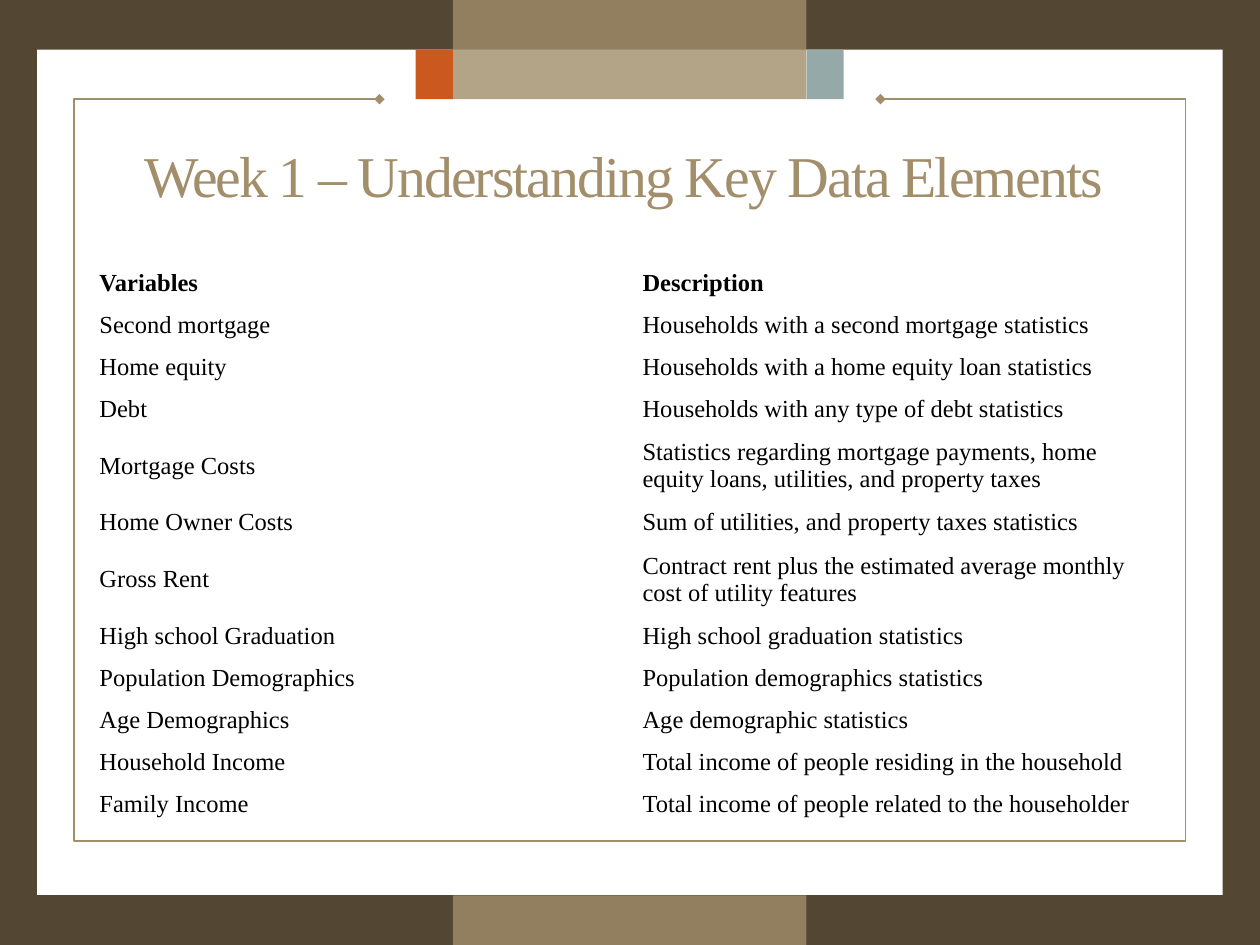
from dataclasses import dataclass

from lxml.etree import SubElement
from pptx import Presentation
from pptx.dml.color import RGBColor
from pptx.enum.shapes import MSO_SHAPE
from pptx.enum.text import MSO_ANCHOR, PP_ALIGN
from pptx.oxml.ns import qn
from pptx.util import Cm, Pt

BROWN = RGBColor(0x53, 0x47, 0x33)
TAN = RGBColor(0xA2, 0x8E, 0x6A)
ORANGE = RGBColor(0xCB, 0x58, 0x1F)
GRAY = RGBColor(0x96, 0xA9, 0xA9)
WHITE = RGBColor(0xFF, 0xFF, 0xFF)
BLACK = RGBColor(0, 0, 0)
FONT = "Times New Roman"


@dataclass
class Panel:
    left: float
    top: float
    width: float
    height: float
    color: RGBColor
    opacity: int = 100


@dataclass
class Variable:
    name: str
    description: str
    lines: int = 1


PAGE = Panel(0.75, 1, 23.9, 17.04, WHITE)
ORNAMENTS = [
    Panel(9.13, 0, 7.13, 2, TAN, 80),
    Panel(8.38, 1, 0.75, 1, ORANGE),
    Panel(16.26, 1, 0.75, 1, GRAY),
    Panel(9.13, 18.05, 7.13, 1, TAN, 80),
]
FRAME = [(17.75, 2), (23.9, 2), (23.9, 16.95), (1.5, 16.95), (1.5, 2), (7.65, 2)]
ROWS = [
    Variable("Variables", "Description"),
    Variable("Second mortgage", "Households with a second mortgage statistics"),
    Variable("Home equity", "Households with a home equity loan statistics"),
    Variable("Debt", "Households with any type of debt statistics"),
    Variable("Mortgage Costs", "Statistics regarding mortgage payments, home equity loans, "
             "utilities, and property taxes", 2),
    Variable("Home Owner Costs", "Sum of utilities, and property taxes statistics"),
    Variable("Gross Rent", "Contract rent plus the estimated average monthly cost of "
             "utility features", 2),
    Variable("High school Graduation", "High school graduation statistics"),
    Variable("Population Demographics", "Population demographics statistics"),
    Variable("Age Demographics", "Age demographic statistics"),
    Variable("Household Income", "Total income of people residing in the household"),
    Variable("Family Income", "Total income of people related to the householder"),
]
ROW_HEIGHTS = {1: 0.8, 2: 1.35}


def add_panel(s, panel: Panel) -> None:
    sp = s.shapes.add_shape(MSO_SHAPE.RECTANGLE, Cm(panel.left), Cm(panel.top),
                            Cm(panel.width), Cm(panel.height))
    sp.shadow.inherit = False
    sp.fill.solid()
    sp.fill.fore_color.rgb = panel.color
    sp.line.fill.background()
    if panel.opacity < 100:
        color = sp.fill._xPr.find(qn("a:solidFill"))[0]
        SubElement(color, qn("a:alpha"), val=str(panel.opacity * 1000))


def add_frame(s, points: list[tuple[float, float]]) -> None:
    start, *rest = [(Cm(x), Cm(y)) for x, y in points]
    builder = s.shapes.build_freeform(*start)
    builder.add_line_segments(rest, close=False)
    sp = builder.convert_to_shape()
    sp.shadow.inherit = False
    sp.fill.background()
    sp.line.color.rgb = TAN
    sp.line.width = Pt(1)
    for end in ("a:headEnd", "a:tailEnd"):
        SubElement(sp.line._get_or_add_ln(), qn(end), type="diamond")


def add_title(s, text: str) -> None:
    tf = s.shapes.add_textbox(Cm(1.75), Cm(2.5), Cm(21.9), Cm(2.2)).text_frame
    tf.word_wrap = True
    tf.vertical_anchor = MSO_ANCHOR.MIDDLE
    p = tf.paragraphs[0]
    p.alignment = PP_ALIGN.CENTER
    p.line_spacing = 0.9
    r = p.add_run()
    r.text = text
    r.font.name = FONT
    r.font.size = Pt(33)
    r.font.color.rgb = TAN
    r.font._element.set("spc", "-110")


def fill_cell(cell, text: str, bold: bool) -> None:
    cell.fill.solid()
    cell.fill.fore_color.rgb = WHITE
    cell.vertical_anchor = MSO_ANCHOR.MIDDLE
    cell.text = text
    font = cell.text_frame.paragraphs[0].font
    font.name = FONT
    font.size = Pt(14)
    font.bold = bold
    font.color.rgb = BLACK


def add_variables(s, rows: list[Variable]) -> None:
    heights = [Cm(ROW_HEIGHTS[row.lines]) for row in rows]
    table = s.shapes.add_table(len(rows), 2, Cm(1.75), Cm(5.28), Cm(21.9),
                               sum(heights)).table
    table.first_row = False
    table.horz_banding = False
    for i, row in enumerate(rows):
        table.rows[i].height = heights[i]
        for j, text in enumerate((row.name, row.description)):
            fill_cell(table.cell(i, j), text, bold=i == 0)


def main() -> None:
    """Build the slide that lists the key data elements."""
    prs = Presentation()
    prs.slide_width, prs.slide_height = Cm(25.4), Cm(19.05)
    s = prs.slides.add_slide(prs.slide_layouts[6])
    s.background.fill.solid()
    s.background.fill.fore_color.rgb = BROWN
    add_panel(s, PAGE)
    add_frame(s, FRAME)
    for panel in ORNAMENTS:
        add_panel(s, panel)
    add_title(s, "Week 1 – Understanding Key Data Elements ")
    add_variables(s, ROWS)
    prs.save("out.pptx")


if __name__ == "__main__":
    main()
